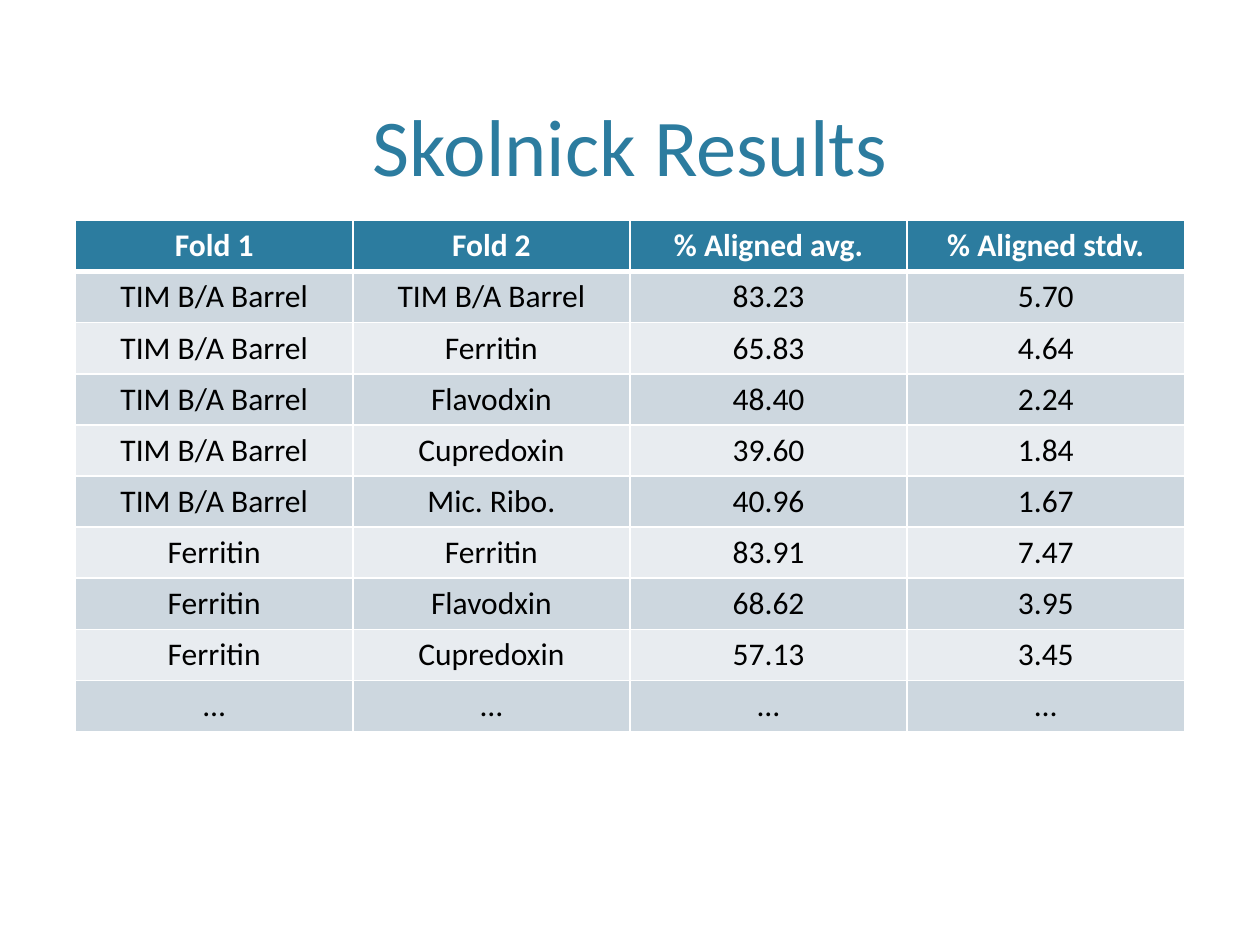
"""Build the Skolnick results slide with its alignment table."""
from dataclasses import dataclass

from lxml import etree
from pptx import Presentation
from pptx.dml.color import RGBColor
from pptx.enum import text
from pptx.oxml.ns import qn
from pptx.util import Pt

TITLE = "Skolnick Results"
HEADER = ("Fold 1", "Fold 2", "% Aligned avg.", "% Aligned stdv.")
RESULTS = [
    ("TIM B/A Barrel", "TIM B/A Barrel", "83.23", "5.70"),
    ("TIM B/A Barrel", "Ferritin", "65.83", "4.64"),
    ("TIM B/A Barrel", "Flavodxin", "48.40", "2.24"),
    ("TIM B/A Barrel", "Cupredoxin", "39.60", "1.84"),
    ("TIM B/A Barrel", "Mic. Ribo.", "40.96", "1.67"),
    ("Ferritin", "Ferritin", "83.91", "7.47"),
    ("Ferritin", "Flavodxin", "68.62", "3.95"),
    ("Ferritin", "Cupredoxin", "57.13", "3.45"),
    ("…", "…", "…", "…"),
]


@dataclass(frozen=True)
class Theme:
    font: str = "Calibri"
    accent: str = "2C7C9F"
    header_text: str = "FFFFFF"
    body_text: str = "000000"
    bands: tuple = ("CDD7DF", "E8ECF0")
    border: str = "FFFFFF"
    thin: float = 1
    thick: float = 3
    title_size: float = 46
    table_size: float = 18


THEME = Theme()
SLIDE_SIZE = (720, 540)
MARGIN = 43.2
CONTENT_WIDTH = SLIDE_SIZE[0] - 2 * MARGIN
TITLE_TOP, TITLE_HEIGHT = 8.64, 105.12
TABLE_TOP, ROW_HEIGHT = 126, 29.2


def write(frame, content, size, color, bold=False):
    paragraph = frame.paragraphs[0]
    paragraph.alignment = text.PP_ALIGN.CENTER
    run = paragraph.add_run()
    run.text = content
    run.font.name = THEME.font
    run.font.size = Pt(size)
    run.font.bold = bold
    run.font.color.rgb = RGBColor.from_string(color)


def set_borders(cell, top, bottom):
    properties = cell._tc.get_or_add_tcPr()
    widths = {"a:lnL": THEME.thin, "a:lnR": THEME.thin, "a:lnT": top, "a:lnB": bottom}
    for tag, width in widths.items():
        line = etree.SubElement(properties, qn(tag), w=str(Pt(width)))
        fill = etree.SubElement(line, qn("a:solidFill"))
        etree.SubElement(fill, qn("a:srgbClr"), val=THEME.border)


def add_title(slide):
    title = slide.shapes.title
    title.left, title.top = Pt(MARGIN), Pt(TITLE_TOP)
    title.width, title.height = Pt(CONTENT_WIDTH), Pt(TITLE_HEIGHT)
    frame = title.text_frame
    frame.auto_size = text.MSO_AUTO_SIZE.NONE
    frame.vertical_anchor = text.MSO_ANCHOR.BOTTOM
    write(frame, TITLE, THEME.title_size, THEME.accent)


def add_results(slide):
    rows = [HEADER, *RESULTS]
    table = slide.shapes.add_table(
        len(rows), len(HEADER), Pt(MARGIN), Pt(TABLE_TOP),
        Pt(CONTENT_WIDTH), Pt(ROW_HEIGHT * len(rows))).table
    for column in table.columns:
        column.width = Pt(CONTENT_WIDTH / len(HEADER))
    for index, values in enumerate(rows):
        table.rows[index].height = Pt(ROW_HEIGHT)
        is_header = index == 0
        fill = THEME.accent if is_header else THEME.bands[(index - 1) % 2]
        color = THEME.header_text if is_header else THEME.body_text
        top = THEME.thick if index == 1 else THEME.thin
        bottom = THEME.thick if is_header else THEME.thin
        for column, value in enumerate(values):
            cell = table.cell(index, column)
            set_borders(cell, top, bottom)
            cell.fill.solid()
            cell.fill.fore_color.rgb = RGBColor.from_string(fill)
            write(cell.text_frame, value, THEME.table_size, color, is_header)


def main():
    presentation = Presentation()
    presentation.slide_width, presentation.slide_height = map(Pt, SLIDE_SIZE)
    slide = presentation.slides.add_slide(presentation.slide_layouts[5])
    add_title(slide)
    add_results(slide)
    presentation.save("out.pptx")


if __name__ == "__main__":
    main()
